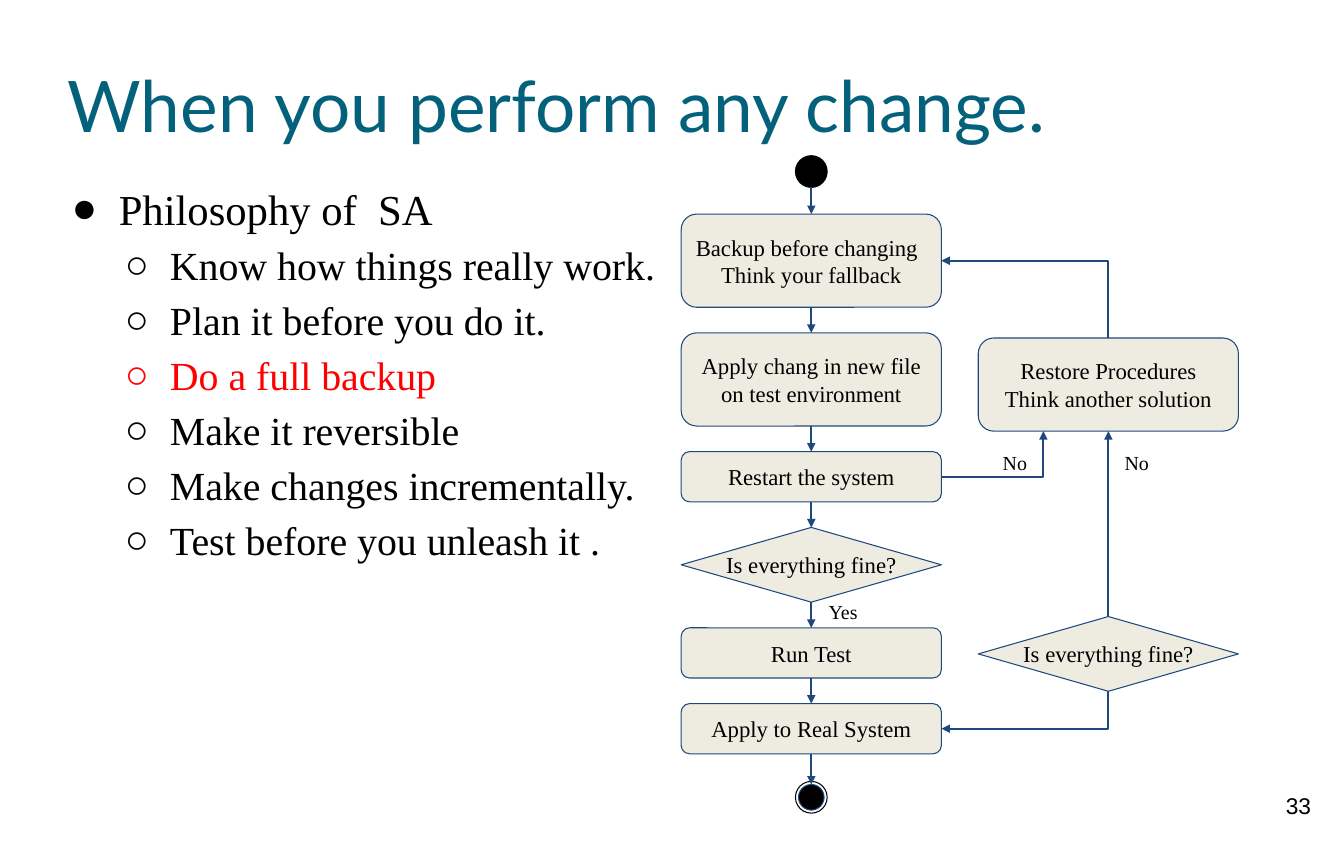
"""Slide: a change-management checklist beside its flowchart."""
from lxml.etree import SubElement
from pptx import Presentation
from pptx.dml.color import RGBColor
from pptx.enum.shapes import MSO_CONNECTOR as LINE, MSO_SHAPE as SHAPE
from pptx.enum.text import MSO_ANCHOR as ANCHOR, PP_ALIGN as ALIGN
from pptx.oxml.ns import qn
from pptx.util import Inches, Pt

TITLE = "When you perform any change."
BULLETS = [
    (0, "Philosophy of  SA", "black"),
    (1, "Know how things really work.", "black"),
    (1, "Plan it before you do it.", "black"),
    (1, "Do a full backup", "red"),
    (1, "Make it reversible", "black"),
    (1, "Make changes incrementally.", "black"),
    (1, "Test before you unleash it .", "black"),
]
LEVELS = [(0.5, -0.46, 30), (1, -0.44, 28)]
BOX, ASK = SHAPE.ROUNDED_RECTANGLE, SHAPE.FLOWCHART_DECISION
TALL, LOW, DIAMOND = 0.91, 0.49, 0.73
STEPS = [
    (BOX, TALL, ["Backup before changing", "Think your fallback"]),
    (BOX, TALL, ["Apply chang in new file on test environment"]),
    (BOX, LOW, ["Restart the system"]),
    (ASK, DIAMOND, ["Is everything fine?"]),
    (BOX, LOW, ["Run Test"]),
    (BOX, LOW, ["Apply to Real System"]),
]
RESTORE = ["Restore Procedures Think another solution"]
LABELS = [("Yes", 7.99, 5.75), ("No", 9.69, 4.3), ("No", 10.88, 4.3)]
COLORS = {"black": "000000", "white": "FFFFFF", "red": "FF0000",
          "teal": "04617B", "navy": "1F497D", "sand": "EEECE1"}
SERIF = "Times New Roman"
W, H = 13.12, 8.27
MARGIN, STEP_W, GAP = 0.66, 2.54, 0.25
MAIN_X, SIDE_X = 7.92, 10.82
FLOW_TOP, RESTORE_TOP, CHECK_TOP = 2.09, 3.3, 6.02
DOT, CORE = 0.31, 0.25
START_TOP, END_TOP = 1.52, 7.63

prs = Presentation()
prs.slide_width, prs.slide_height = Inches(W), Inches(H)
s = prs.slides.add_slide(prs.slide_layouts[6])


def rgb(name):
    return RGBColor.from_string(COLORS[name])


def add_text(p, text, size=16, color="black", font=SERIF, align=ALIGN.LEFT):
    p.alignment = align
    r = p.add_run()
    r.text = text
    r.font.size, r.font.name = Pt(size), font
    r.font.color.rgb = rgb(color)


def frame(sp, inset=0.1, anchor=ANCHOR.TOP, wrap=True):
    tf = sp.text_frame
    tf.margin_left = tf.margin_right = Inches(inset)
    tf.margin_top = tf.margin_bottom = Inches(inset)
    tf.vertical_anchor, tf.word_wrap = anchor, wrap
    return tf


def text_box(x, y, w, h, **kw):
    return frame(s.shapes.add_textbox(*map(Inches, (x, y, w, h))), **kw)


def add_bullet(p, char, color):
    pPr = p._p.get_or_add_pPr()
    clr = SubElement(SubElement(pPr, qn("a:buClr")), qn("a:srgbClr"))
    clr.set("val", COLORS[color])
    SubElement(pPr, qn("a:buFont")).set("typeface", SERIF)
    SubElement(pPr, qn("a:buChar")).set("char", char)


def node(kind, center, top, w, h, fill="sand", line="navy"):
    sp = s.shapes.add_shape(kind, *map(Inches, (center - w / 2, top, w, h)))
    sp.shadow.inherit = False
    sp.fill.solid()
    sp.fill.fore_color.rgb = rgb(fill)
    sp.line.color.rgb, sp.line.width = rgb(line), Pt(0.75)
    return sp


def step(kind, center, top, h, lines):
    sp = node(kind, center, top, STEP_W, h)
    is_box = kind == BOX
    tf = frame(sp, 0.1 if is_box else 0, ANCHOR.MIDDLE, is_box)
    for i, text in enumerate(lines):
        p = tf.paragraphs[0] if i == 0 else tf.add_paragraph()
        left = len(lines) > 1 and i == 0
        add_text(p, text, align=ALIGN.LEFT if left else ALIGN.CENTER)


def arrow(x0, y0, x1, y1, bend=None):
    kind = LINE.ELBOW if bend else LINE.STRAIGHT
    if bend == "vertical":
        cx, cy, dx, dy = (x0 + x1) / 2, (y0 + y1) / 2, abs(x1 - x0), y1 - y0
        x0, y0, x1, y1 = cx - dy / 2, cy - dx / 2, cx + dy / 2, cy + dx / 2
    c = s.shapes.add_connector(kind, *map(Inches, (x0, y0, x1, y1)))
    c.line.color.rgb, c.line.width = rgb("navy"), Pt(1.5)
    spPr = c._element.spPr
    if bend:
        spPr.find(qn("a:prstGeom")).set("prst", "bentConnector2")
    if bend == "vertical":
        spPr.find(qn("a:xfrm")).set("rot", str(90 * 60000))
    SubElement(spPr.find(qn("a:ln")), qn("a:tailEnd")).set("type", "triangle")
    SubElement(spPr, qn("a:effectLst"))


tf = text_box(MARGIN, 0.33, 0.9 * W, H / 6, inset=0, anchor=ANCHOR.MIDDLE)
add_text(tf.paragraphs[0], TITLE, size=50, color="teal", font="Lato")

tf = text_box(MARGIN, 1.71, 5.8, 0.75 * H, inset=0)
for i, (level, text, color) in enumerate(BULLETS):
    p = tf.paragraphs[0] if i == 0 else tf.add_paragraph()
    left, indent, size = LEVELS[level]
    add_bullet(p, "●○"[level], color)
    p.level, p.line_spacing = level, 1.15
    p._p.pPr.set("marL", str(Inches(left)))
    p._p.pPr.set("indent", str(Inches(indent)))
    add_text(p, text, size=size, color=color)

tops, y = [], FLOW_TOP
for kind, h, lines in STEPS:
    step(kind, MAIN_X, y, h, lines)
    tops.append(y)
    y += h + GAP
step(BOX, SIDE_X, RESTORE_TOP, TALL, RESTORE)
step(ASK, SIDE_X, CHECK_TOP, DIAMOND, STEPS[3][2])

core_top = END_TOP + (DOT - CORE) / 2
node(SHAPE.FLOWCHART_CONNECTOR, MAIN_X, START_TOP, DOT, DOT, "black", "black")
node(SHAPE.FLOWCHART_CONNECTOR, MAIN_X, END_TOP, DOT, DOT, "white", "black")
node(SHAPE.FLOWCHART_CONNECTOR, MAIN_X, core_top, CORE, CORE, "black")

bottoms = [top + h for top, (_, h, _) in zip(tops, STEPS)]
for start, end in zip([START_TOP + DOT] + bottoms, tops + [core_top]):
    arrow(MAIN_X, start, MAIN_X, end)
edge = MAIN_X + STEP_W / 2
backup, restart, apply = [(tops[i] + bottoms[i]) / 2 for i in (0, 2, 5)]
restore_bottom = RESTORE_TOP + TALL
arrow(SIDE_X, RESTORE_TOP, edge, backup, "vertical")
arrow(edge, restart, SIDE_X - STEP_W / 4, restore_bottom, "horizontal")
arrow(SIDE_X, CHECK_TOP + DIAMOND, edge, apply, "vertical")
arrow(SIDE_X, CHECK_TOP, SIDE_X, restore_bottom)

for text, x, y in LABELS:
    add_text(text_box(x, y, 0.6, 0.4).paragraphs[0], text, size=14)
add_text(text_box(12.28, 7.63, 0.79, 0.63).paragraphs[0], "33",
         font="Arial", align=ALIGN.CENTER)

prs.save("out.pptx")
